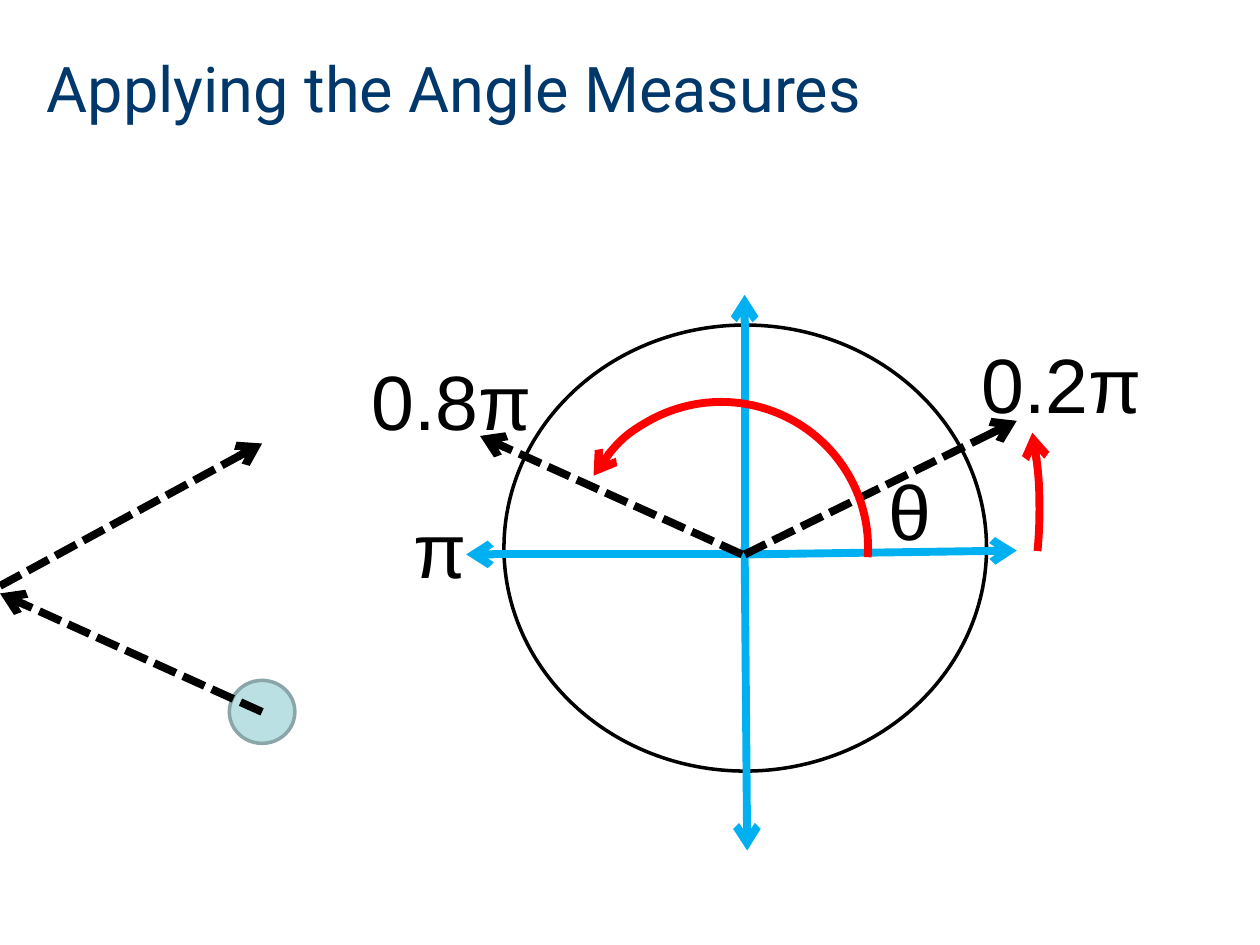
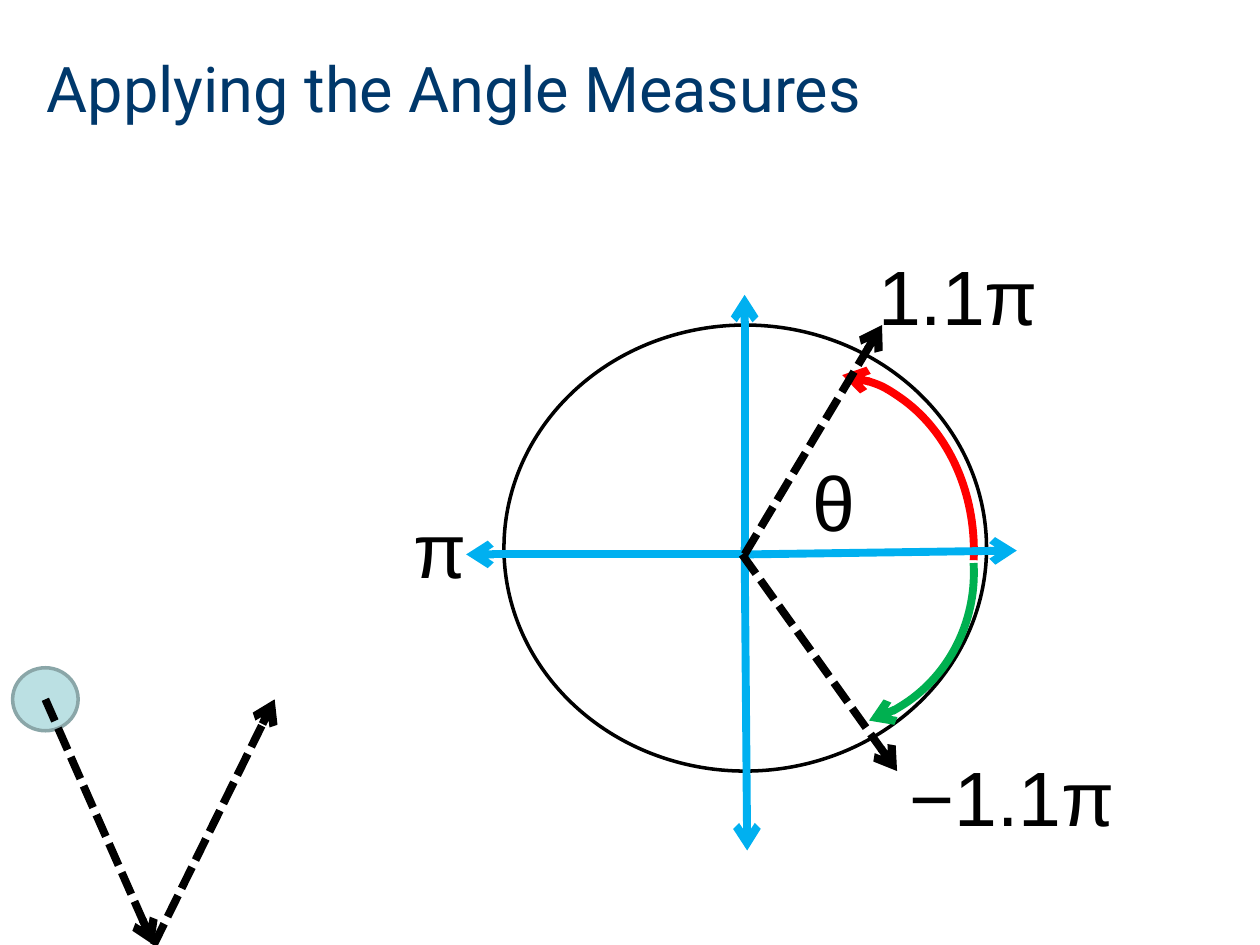
from lxml import etree
from pptx import Presentation
from pptx.dml.color import RGBColor
from pptx.enum.dml import MSO_LINE
from pptx.enum.shapes import MSO_CONNECTOR, MSO_SHAPE
from pptx.enum.text import MSO_ANCHOR, MSO_AUTO_SIZE, PP_ALIGN
from pptx.oxml.ns import qn
from pptx.util import Inches, Pt

STRAIGHT = MSO_CONNECTOR.STRAIGHT
OVAL, ARC = MSO_SHAPE.OVAL, MSO_SHAPE.ARC
DASH = MSO_LINE.SQUARE_DOT
MIDDLE, LEFT = MSO_ANCHOR.MIDDLE, PP_ALIGN.LEFT
GROW, FIXED = MSO_AUTO_SIZE.SHAPE_TO_FIT_TEXT, MSO_AUTO_SIZE.NONE

COLS, ROWS = 10, 7.5
COLORS = {"white": "FFFFFF", "black": "000000", "navy": "00386B",
          "axis": "00B0F0", "red": "FF0000", "green": "00B050",
          "ball": "BBE0E3", "rim": "8AA6A8"}
TITLE_FONT = {"name": "Roboto", "size": Pt(36), "bold": False}
LABEL_FONT = {"name": "Arial", "size": Pt(44)}
THIN, THICK = 2, 4.5
LABEL_SIZE = (2.75, 0.84)
BALL_SIZE = (0.52, 0.5)
ORIGIN = (5.91, 4.4)
AXES = [((5.91, 4.34), (5.91, 2.34)), (ORIGIN, (3.7, 4.4)),
        ((5.91, 4.34), (5.93, 6.75)), ((5.93, 4.4), (8.07, 4.37))]

SCENES = [
    {"title": "Applying the Angle Measures",
     "labels": [("θ", 6.95, 3.63), ("π", 3.18, 3.93),
                ("0.2π", 7.69, 2.62), ("0.8π", 2.85, 2.76)],
     "ball": (1.82, 5.4),
     "rays": [((2.08, 5.65), (0, 4.71)), ((0, 4.65), (2.08, 3.52)),
              ((5.89, 4.4), (3.81, 3.46)), (ORIGIN, (8.07, 3.34))],
     "back_arcs": [((7.5, 2.89, 0.75, 2.31), (297.52, 42.43), "red", False)],
     "front_arcs": [((4.56, 3.19, 2.33, 2.31), (209.31, 3.81), "red", False)]},
    {"title": "Applying the Angle Measures",
     "labels": [("θ", 6.35, 3.56), ("π", 3.18, 3.93),
                ("1.1π", 6.87, 1.92), ("−1.1π", 7.12, 5.9)],
     "ball": (0.1, 5.3),
     "rays": [((1.22, 7.5), (2.18, 5.55)), ((0.36, 5.55), (1.22, 7.5)),
              ((5.89, 4.4), (7.12, 6.12)), (ORIGIN, (7, 2.58))],
     "back_arcs": [((5.4, 2.97, 2.33, 2.8), (274.91, 3.76), "red", False)],
     "front_arcs": [((5.4, 3.32, 2.33, 2.45), (285.84, 3.76), "green", True)]},
]


class Deck:
    """Holds the shared style and the slide being drawn."""

    def __init__(self):
        """Open a blank presentation and measure its grid."""
        self.prs = Presentation()
        self.prs.slide_width, self.prs.slide_height = Inches(10), Inches(7.5)
        self.col = self.prs.slide_width / COLS
        self.row = self.prs.slide_height / ROWS
        self.s = None

    def grid(self, *lengths):
        """Turn alternating columns and rows into slide lengths."""
        return [round(n * (self.row if i % 2 else self.col))
                for i, n in enumerate(lengths)]

    def rgb(self, name):
        """Look up a colour by name."""
        return RGBColor.from_string(COLORS[name])

    def add_text(self, tf, text, font, color):
        """Fill a text frame with one formatted run."""
        p = tf.paragraphs[0]
        p.alignment = LEFT
        r = p.add_run()
        r.text = text
        for key, value in font.items():
            setattr(r.font, key, value)
        r.font.color.rgb = self.rgb(color)

    def stroke(self, sp, color, width, dash=None, **ends):
        """Style a line and give it open arrowheads."""
        sp.line.color.rgb = self.rgb(color)
        sp.line.width = Pt(width)
        if dash:
            sp.line.dash_style = dash
        ln = sp._element.spPr.find(qn("a:ln"))
        for end, kind in ends.items():
            etree.SubElement(ln, qn("a:" + end)).set("type", kind)

    def slide(self, title):
        """Start a slide with its title."""
        self.s = self.prs.slides.add_slide(self.prs.slide_layouts[5])
        sp = self.s.shapes.title
        sp.left, sp.top, sp.width, sp.height = self.grid(-0.35, 0.02, 10.79, 1.35)
        sp.fill.solid()
        sp.fill.fore_color.rgb = self.rgb("white")
        tf = sp.text_frame
        frame = {"vertical_anchor": MIDDLE, "auto_size": FIXED,
                 "word_wrap": True, "margin_left": round(0.72 * self.col)}
        for key, value in frame.items():
            setattr(tf, key, value)
        self.add_text(tf, title, TITLE_FONT, "navy")

    def ellipse(self, box, fill, line):
        """Draw a filled ellipse."""
        sp = self.s.shapes.add_shape(OVAL, *self.grid(*box))
        sp.shadow.inherit = False
        sp.fill.solid()
        sp.fill.fore_color.rgb = self.rgb(fill)
        self.stroke(sp, line, THIN)

    def arc(self, box, angles, color, flip):
        """Draw a turning arrow between two angles in degrees."""
        sp = self.s.shapes.add_shape(ARC, *self.grid(*box))
        sp.shadow.inherit = False
        sp.fill.background()
        for i, angle in enumerate(angles):
            sp.adjustments[i] = angle * 0.6
        if flip:
            sp._element.spPr.find(qn("a:xfrm")).set("flipV", "1")
        self.stroke(sp, color, THICK, headEnd="arrow")

    def arrow(self, start, end, color, dash=None):
        """Draw a straight arrow."""
        sp = self.s.shapes.add_connector(STRAIGHT, *self.grid(*start, *end))
        self.stroke(sp, color, THICK, dash, tailEnd="arrow")
        etree.SubElement(sp._element.spPr, qn("a:effectLst"))

    def label(self, text, x, y):
        """Place an angle label."""
        tf = self.s.shapes.add_textbox(*self.grid(x, y, *LABEL_SIZE)).text_frame
        tf.word_wrap = True
        tf.auto_size = GROW
        self.add_text(tf, text, LABEL_FONT, "black")

    def scene(self, scene):
        """Draw one slide of the circle, its axes, rays and turns."""
        self.slide(scene["title"])
        self.ellipse((4, 2.58, 3.83, 3.54), "white", "black")
        for label in scene["labels"]:
            self.label(*label)
        for arc in scene["back_arcs"]:
            self.arc(*arc)
        for start, end in AXES:
            self.arrow(start, end, "axis")
        self.ellipse((*scene["ball"], *BALL_SIZE), "ball", "rim")
        for start, end in scene["rays"]:
            self.arrow(start, end, "black", DASH)
        for arc in scene["front_arcs"]:
            self.arc(*arc)


deck = Deck()
for scene in SCENES:
    deck.scene(scene)
deck.prs.save("out.pptx")
